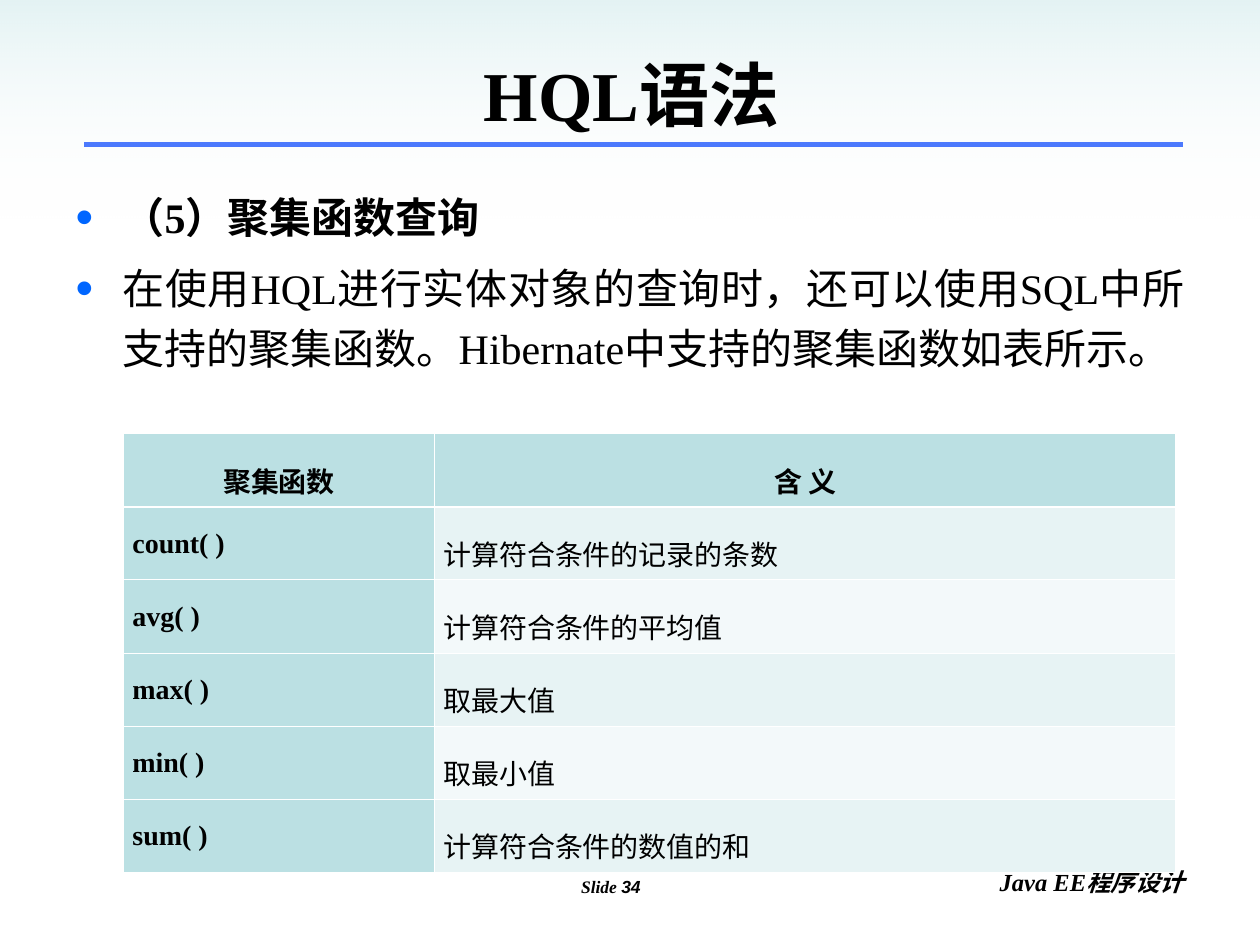
from lxml.etree import SubElement
from pptx import Presentation
from pptx.dml.color import RGBColor
from pptx.enum.shapes import MSO_CONNECTOR, MSO_SHAPE
from pptx.enum.text import MSO_ANCHOR, MSO_AUTO_SIZE, PP_ALIGN as Align
from pptx.oxml.ns import qn
from pptx.util import Cm, Pt

BLACK = RGBColor(0x00, 0x00, 0x00)
WHITE = RGBColor(0xFF, 0xFF, 0xFF)
TEAL = RGBColor(0xBB, 0xE0, 0xE3)
BAND_DARK = RGBColor(0xE7, 0xF3, 0xF4)
BAND_LIGHT = RGBColor(0xF3, 0xF9, 0xFA)
RULE_BLUE = RGBColor(0x33, 0x66, 0xFF)
BULLET_BLUE = RGBColor(0x00, 0x66, 0xFF)
SERIF, SANS = "Times New Roman", "Arial"

BODY = [
    ("（5）聚集函数查询", True),
    ("在使用HQL进行实体对象的查询时，还可以使用SQL中所支持的聚集函数。"
     "Hibernate中支持的聚集函数如表所示。", False),
]
FUNCTIONS = [
    ("聚集函数", "含 义"),
    ("count( )", "计算符合条件的记录的条数"),
    ("avg( )", "计算符合条件的平均值"),
    ("max( )", "取最大值"),
    ("min( )", "取最小值"),
    ("sum( )", "计算符合条件的数值的和"),
]


def add_text(paragraph, text, size, font=SERIF, bold=True, italic=False,
             align=Align.LEFT, line_spacing=None):
    """Append a formatted run and set the layout of its paragraph."""
    paragraph.alignment = align
    if line_spacing:
        paragraph.line_spacing = line_spacing
    run = paragraph.add_run()
    run.text = text
    run.font.size, run.font.name = Pt(size), font
    run.font.bold, run.font.italic = bold, italic
    run.font.color.rgb = BLACK


def place(shape, left, top, width, height):
    shape.left, shape.top = Cm(left), Cm(top)
    shape.width, shape.height = Cm(width), Cm(height)


def add_footer(slide, box, parts, align, right_inset=0.25):
    shape = slide.shapes.add_textbox(*map(Cm, box))
    frame = shape.text_frame
    frame.word_wrap = True
    frame.margin_right = Cm(right_inset)
    for text, size, font in parts:
        add_text(frame.paragraphs[0], text, size, font, italic=True, align=align)
    return shape


def add_rule(slide, left, top, width):
    rule = slide.shapes.add_connector(
        MSO_CONNECTOR.STRAIGHT, Cm(left), Cm(top), Cm(left + width), Cm(top))
    rule.line.color.rgb = RULE_BLUE
    rule.line.width = Pt(3)
    SubElement(rule.element.spPr, qn("a:effectLst"))
    return rule


def add_fade(slide, box):
    fade = slide.shapes.add_shape(MSO_SHAPE.RECTANGLE, *map(Cm, box))
    fade.shadow.inherit = False
    fade.line.fill.background()
    fade.fill.gradient()
    fade.fill.gradient_angle = 270
    for stop, color in zip(fade.fill.gradient_stops, (TEAL, WHITE)):
        stop.color.rgb = color
    # Opacity of the top and bottom stops
    colors = fade.element.spPr.iter(qn("a:srgbClr"))
    for color, opacity in zip(list(colors), (40, 0)):
        SubElement(color, qn("a:alpha"), val=str(opacity * 1000))
    return fade


def add_backdrop(slide):
    """Footers, rule and fade, all kept behind the placeholders."""
    parts = [
        add_footer(slide, (9.7, 17.53, 5.92, 1.32),
                   [("Slide ", 10, SERIF), ("34", 10, SANS)],
                   Align.CENTER, right_inset=0.94),
        add_footer(slide, (18.21, 17.35, 5.92, 1.32),
                   [("Java EE程序设计", 14, SERIF)], Align.RIGHT),
        add_rule(slide, 1.7, 2.92, 22.15),
        add_fade(slide, (0, 0, 25.4, 4.45)),
    ]
    for part in parts:
        slide.shapes.title.element.addprevious(part.element)


def fill_title(title, box):
    place(title, *box)
    frame = title.text_frame
    frame.auto_size = MSO_AUTO_SIZE.NONE
    frame.vertical_anchor = MSO_ANCHOR.MIDDLE
    add_text(frame.paragraphs[0], "HQL语法", 40, align=Align.CENTER)


def set_bullet(paragraph, indent):
    properties = paragraph._p.get_or_add_pPr()
    properties.set("marL", str(Cm(indent)))
    properties.set("indent", str(-Cm(indent)))
    color = SubElement(properties, qn("a:buClr"))
    SubElement(color, qn("a:srgbClr"), val=str(BULLET_BLUE))
    SubElement(properties, qn("a:buSzPct"), val="120000")
    SubElement(properties, qn("a:buChar"), char="•")


def fill_body(body, box):
    place(body, *box)
    frame = body.text_frame
    frame.auto_size = MSO_AUTO_SIZE.NONE
    for index, (text, bold) in enumerate(BODY):
        paragraph = frame.add_paragraph() if index else frame.paragraphs[0]
        add_text(paragraph, text, 24, bold=bold, align=Align.JUSTIFY,
                 line_spacing=1.2)
        paragraph.space_before = Pt(6)
        set_bullet(paragraph, 0.95)


def set_borders(cell, **widths):
    properties = cell._tc.get_or_add_tcPr()
    for side in "LRTB":
        line = SubElement(properties, qn(f"a:ln{side}"),
                          w=str(Pt(widths.get(side, 0.45))))
        fill = SubElement(line, qn("a:solidFill"))
        SubElement(fill, qn("a:srgbClr"), val=str(WHITE))


def add_function_table(slide, left, top, column_widths, row_height):
    rows, columns = len(FUNCTIONS), len(column_widths)
    table = slide.shapes.add_table(
        rows, columns, Cm(left), Cm(top),
        Cm(sum(column_widths)), Cm(rows * row_height)).table
    table.first_row = table.horz_banding = False
    for column, width in zip(table.columns, column_widths):
        column.width = Cm(width)
    for r, texts in enumerate(FUNCTIONS):
        for c, text in enumerate(texts):
            cell = table.cell(r, c)
            label = r == 0 or c == 0
            # A heavier line parts the header from the rows below
            set_borders(cell, **{0: {"B": 1.47}, 1: {"T": 1.47}}.get(r, {}))
            cell.margin_left = cell.margin_right = Cm(0.18)
            cell.fill.solid()
            band = BAND_DARK if r % 2 else BAND_LIGHT
            cell.fill.fore_color.rgb = TEAL if label else band
            align = Align.CENTER if r == 0 else (Align.JUSTIFY if c else Align.LEFT)
            add_text(cell.text_frame.paragraphs[0], text, 16, bold=label,
                     align=align, line_spacing=1.5)


def main():
    presentation = Presentation()
    presentation.slide_width, presentation.slide_height = Cm(25.4), Cm(19.05)
    slide = presentation.slides.add_slide(presentation.slide_layouts[1])
    add_backdrop(slide)
    fill_title(slide.shapes.title, (1.3, 0.71, 22.86, 2.36))
    fill_body(slide.placeholders[1], (1.27, 3.53, 22.86, 13.49))
    add_function_table(slide, 2.49, 8.74, (6.27, 14.94), 1.19)
    presentation.save("out.pptx")


if __name__ == "__main__":
    main()
